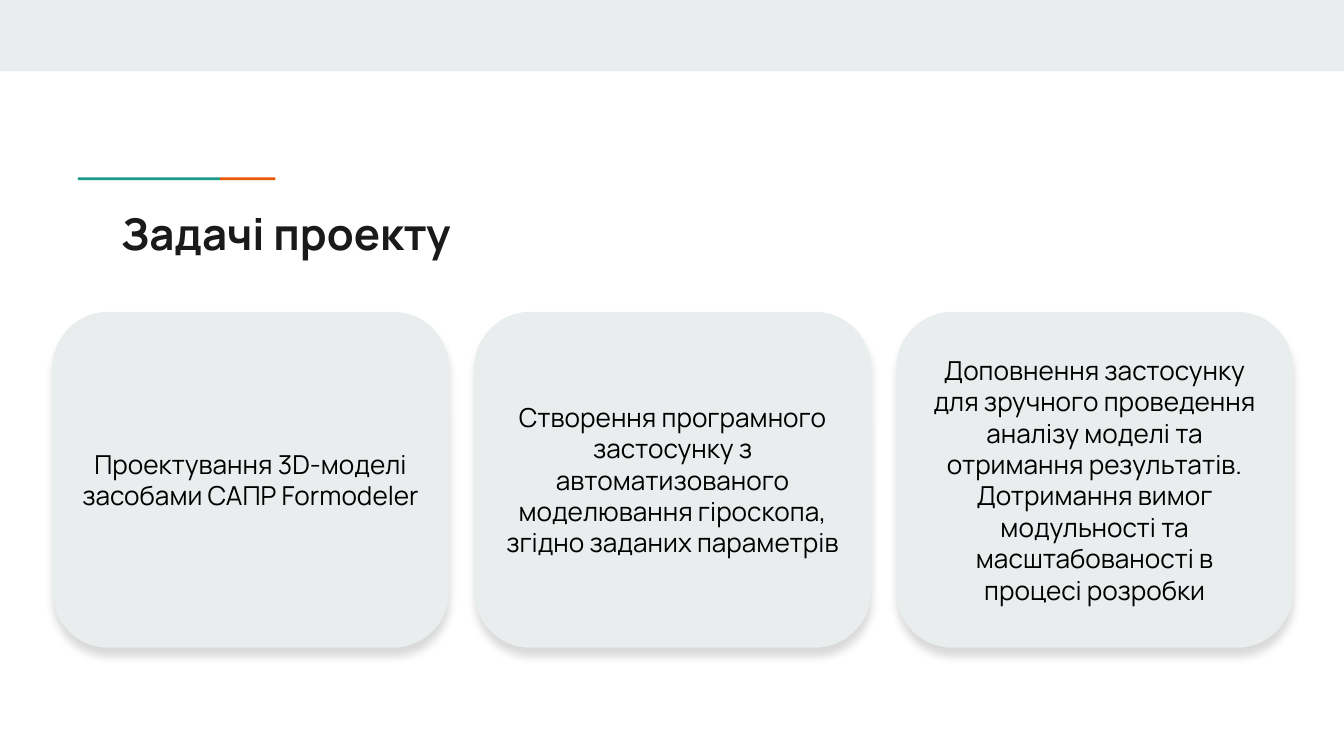
from dataclasses import dataclass

from lxml import etree
from pptx import Presentation
from pptx import util as u
from pptx.dml.color import RGBColor
from pptx.enum import shapes, text
from pptx.oxml.ns import qn


@dataclass(frozen=True)
class Theme:
    font: str = "Manrope"
    panel: str = "E9EDEE"
    teal: str = "1A9988"
    orange: str = "EB5600"
    heading: str = "1A1A1A"
    body: str = "000000"
    title_size: float = 23.4
    body_size: float = 14


@dataclass(frozen=True)
class Box:
    left: float
    top: float
    width: float
    height: float

    def place(self):
        return [u.Inches(n) for n in (self.left, self.top, self.width, self.height)]

    def columns(self, shares, gap=0):
        """Split the box into columns whose widths follow the given shares."""
        unit = (self.width - gap * (len(shares) - 1)) / sum(shares)
        left = self.left
        for share in shares:
            yield Box(left, self.top, unit * share, self.height)
            left += unit * share + gap


THEME = Theme()
WIDTH = 10
HEIGHT = WIDTH * 9 / 16
CARDS = [
    ["Проектування 3D-моделі засобами САПР Formodeler"],
    ["Створення програмного застосунку з автоматизованого моделювання "
     "гіроскопа, згідно заданих параметрів"],
    ["Доповнення застосунку для зручного проведення аналізу моделі та "
     "отримання результатів.",
     "Дотримання вимог модульності та масштабованості в процесі розробки"],
]


def add_panel(page, box, color, kind=shapes.MSO_SHAPE.RECTANGLE):
    panel = page.shapes.add_shape(kind, *box.place())
    panel.fill.solid()
    panel.fill.fore_color.rgb = RGBColor.from_string(color)
    panel.line.fill.background()
    panel.shadow.inherit = False
    return panel


def write(shape, lines, size, color, bold, align, anchor):
    frame = shape.text_frame
    inset = u.Inches(0.1)
    settings = dict(word_wrap=True, auto_size=text.MSO_AUTO_SIZE.NONE,
                    vertical_anchor=anchor, margin_left=inset, margin_top=inset,
                    margin_right=inset, margin_bottom=inset)
    for name, value in settings.items():
        setattr(frame, name, value)
    frame.text = "\n".join(lines)
    for para in frame.paragraphs:
        para.alignment = align
        para.space_before = u.Pt(0)
        for span in para.runs:
            for name, value in dict(name=THEME.font, size=u.Pt(size), bold=bold).items():
                setattr(span.font, name, value)
            span.font.color.rgb = RGBColor.from_string(color)


def add_soft_shadow(shape):
    effects = shape._element.spPr.find(qn("a:effectLst"))
    distance = str(u.Pt(4.5))
    shadow = etree.SubElement(effects, qn("a:outerShdw"), blurRad=distance,
                              dist=distance, dir="5400000", algn="t", rotWithShape="0")
    color = etree.SubElement(shadow, qn("a:srgbClr"), val="000000")
    etree.SubElement(color, qn("a:alpha"), val="14000")


def add_accent(page, box):
    for part, color in zip(box.columns([0.72, 0.28]), [THEME.teal, THEME.orange]):
        add_panel(page, part, color)


def add_title(page, box, words):
    title = page.shapes.title
    title.left, title.top, title.width, title.height = box.place()
    write(title, [words], THEME.title_size, THEME.heading, True,
          text.PP_ALIGN.LEFT, text.MSO_ANCHOR.TOP)


def add_cards(page, box, cards):
    for part, lines in zip(box.columns([1] * len(cards), gap=0.19), cards):
        card = add_panel(page, part, THEME.panel, shapes.MSO_SHAPE.ROUNDED_RECTANGLE)
        card.adjustments[0] = 0.167
        add_soft_shadow(card)
        write(card, lines, THEME.body_size, THEME.body, False,
              text.PP_ALIGN.CENTER, text.MSO_ANCHOR.MIDDLE)


def main():
    deck = Presentation()
    deck.slide_width, deck.slide_height = u.Inches(WIDTH), u.Inches(HEIGHT)
    page = deck.slides.add_slide(deck.slide_layouts.get_by_name("Title Only"))

    # Top band and two-colour accent line
    add_panel(page, Box(0, 0, WIDTH, 0.53), THEME.panel)
    add_accent(page, Box(0.58, 1.32, 1.47, 0.02))

    # Heading and the row of task cards
    add_title(page, Box(0.8, 1.44, 8.41, 0.59), "Задачі проекту")
    add_cards(page, Box(0.39, 2.32, 9.23, 2.5), CARDS)

    deck.save("out.pptx")


if __name__ == "__main__":
    main()
